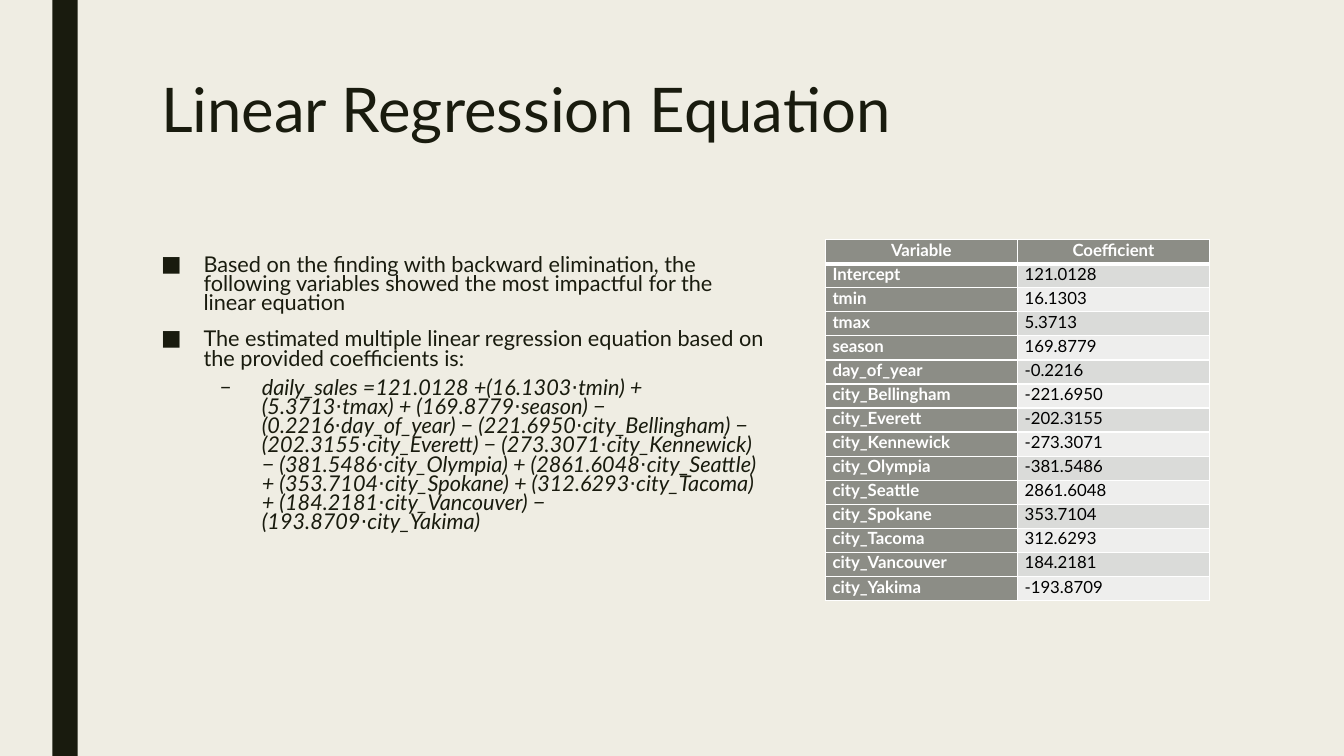
from lxml import etree
from pptx import Presentation
from pptx.dml.color import RGBColor
from pptx.enum.shapes import MSO_SHAPE
from pptx.enum.text import MSO_ANCHOR, PP_ALIGN
from pptx.oxml.ns import qn
from pptx.util import Cm, Pt

RECTANGLE = MSO_SHAPE.RECTANGLE
TOP = MSO_ANCHOR.TOP
LEFT, CENTER = PP_ALIGN.LEFT, PP_ALIGN.CENTER

FONT = "Lato"
CREAM = RGBColor(0xEF, 0xED, 0xE3)
INK = RGBColor(0x19, 0x1B, 0x0E)
GRAY = RGBColor(0x8C, 0x8D, 0x86)
BAND_DARK = RGBColor(0xDA, 0xDB, 0xD9)
BAND_LIGHT = RGBColor(0xEE, 0xEE, 0xED)
WHITE = RGBColor(0xFF, 0xFF, 0xFF)
BLACK = RGBColor(0x00, 0x00, 0x00)

FINDINGS = [
    "Based on the finding with backward elimination, the following variables "
    "showed the most impactful for the linear equation",
    "The estimated multiple linear regression equation based on the provided "
    "coefficients is:",
]
EQUATION = (
    "daily_sales =121.0128 +(16.1303⋅tmin) + (5.3713⋅tmax) + (169.8779⋅season) "
    "− (0.2216⋅day_of_year) − (221.6950⋅city_Bellingham) "
    "− (202.3155⋅city_Everett) − (273.3071⋅city_Kennewick) "
    "− (381.5486⋅city_Olympia) + (2861.6048⋅city_Seattle) "
    "+ (353.7104⋅city_Spokane) + (312.6293⋅city_Tacoma) "
    "+ (184.2181⋅city_Vancouver) − (193.8709⋅city_Yakima)"
)
COEFFICIENTS = [
    ("Variable", "Coefficient"),
    ("Intercept", "121.0128"),
    ("tmin", "16.1303"),
    ("tmax", "5.3713"),
    ("season", "169.8779"),
    ("day_of_year", "-0.2216"),
    ("city_Bellingham", "-221.6950"),
    ("city_Everett", "-202.3155"),
    ("city_Kennewick", "-273.3071"),
    ("city_Olympia", "-381.5486"),
    ("city_Seattle", "2861.6048"),
    ("city_Spokane", "353.7104"),
    ("city_Tacoma", "312.6293"),
    ("city_Vancouver", "184.2181"),
    ("city_Yakima", "-193.8709"),
]


def write(paragraph, text, size, color=INK, bold=False, italic=False,
          align=LEFT, line_spacing=1.0, before=0, after=0,
          bullet=None, indent=0, hanging=0, level=0):
    paragraph.alignment = align
    paragraph.level = level
    paragraph.line_spacing = line_spacing
    paragraph.space_before = Pt(before)
    paragraph.space_after = Pt(after)
    if bullet:
        properties = paragraph._p.get_or_add_pPr()
        properties.set("marL", str(Cm(indent)))
        properties.set("indent", str(-Cm(hanging)))
        etree.SubElement(properties, qn("a:buFont")).set("typeface", FONT)
        etree.SubElement(properties, qn("a:buChar")).set("char", bullet)
    run = paragraph.add_run()
    run.text = text
    font = run.font
    font.name, font.size, font.bold, font.italic = FONT, Pt(size), bold, italic
    font.color.rgb = color


def add_text_frame(slide, left, top, width, height):
    frame = slide.shapes.add_textbox(
        Cm(left), Cm(top), Cm(width), Cm(height)).text_frame
    frame.word_wrap = True
    frame.vertical_anchor = TOP
    return frame


def add_side_bar(slide, left, top, width, height):
    bar = slide.shapes.add_shape(
        RECTANGLE, Cm(left), Cm(top), Cm(width), Cm(height))
    bar.shadow.inherit = False
    bar.fill.solid()
    bar.fill.fore_color.rgb = INK
    bar.line.fill.background()


def add_title(slide, left, top, width, height):
    frame = add_text_frame(slide, left, top, width, height)
    write(frame.paragraphs[0], "Linear Regression Equation", 44,
          line_spacing=0.89)


def add_findings(slide, left, top, width, height):
    """Place the bulleted findings with the equation one level below."""
    frame = add_text_frame(slide, left, top, width, height)
    for number, finding in enumerate(FINDINGS):
        paragraph = frame.add_paragraph() if number else frame.paragraphs[0]
        write(paragraph, finding, 15.5, line_spacing=0.74,
              before=10 if number else 0, after=2,
              bullet="■", indent=1.07, hanging=1.07)
    write(frame.add_paragraph(), EQUATION, 15.5, italic=True,
          line_spacing=0.74, before=5, after=2,
          bullet="–", indent=2.54, hanging=1.07, level=1)


def draw_borders(cell, bottom):
    properties = cell._tc.get_or_add_tcPr()
    for side, points in (("L", 1), ("R", 1), ("T", 1), ("B", bottom)):
        border = etree.SubElement(properties, qn(f"a:ln{side}"))
        border.set("w", str(Pt(points)))
        fill = etree.SubElement(border, qn("a:solidFill"))
        etree.SubElement(fill, qn("a:srgbClr")).set("val", str(WHITE))


def add_coefficients(slide, left, top, width, height):
    row_count, column_count = len(COEFFICIENTS), len(COEFFICIENTS[0])
    table = slide.shapes.add_table(
        row_count, column_count,
        Cm(left), Cm(top), Cm(width), Cm(height)).table
    for row in table.rows:
        row.height = Cm(height / row_count)
    for row_index, entries in enumerate(COEFFICIENTS):
        is_header = row_index == 0
        band = BAND_DARK if row_index % 2 else BAND_LIGHT
        for column_index, entry in enumerate(entries):
            is_label = is_header or column_index == 0
            cell = table.cell(row_index, column_index)
            cell.margin_left = cell.margin_right = Cm(0.18)
            cell.margin_top = cell.margin_bottom = 0
            draw_borders(cell, bottom=3 if is_header else 1)
            cell.fill.solid()
            cell.fill.fore_color.rgb = GRAY if is_label else band
            write(cell.text_frame.paragraphs[0], entry, 12,
                  color=WHITE if is_label else BLACK, bold=is_label,
                  align=CENTER if is_header else LEFT)


def main():
    presentation = Presentation()
    presentation.slide_width = Cm(33.87)
    presentation.slide_height = Cm(19.05)
    slide = presentation.slides.add_slide(presentation.slide_layouts[6])
    slide.background.fill.solid()
    slide.background.fill.fore_color.rgb = CREAM
    add_side_bar(slide, 1.32, 0, 0.64, 19.05)
    add_title(slide, 3.81, 1.9, 26.67, 4.12)
    add_coefficients(slide, 20.8, 6.04, 9.68, 9.09)
    add_findings(slide, 3.81, 6.35, 15.8, 10)
    presentation.save("out.pptx")


if __name__ == "__main__":
    main()
